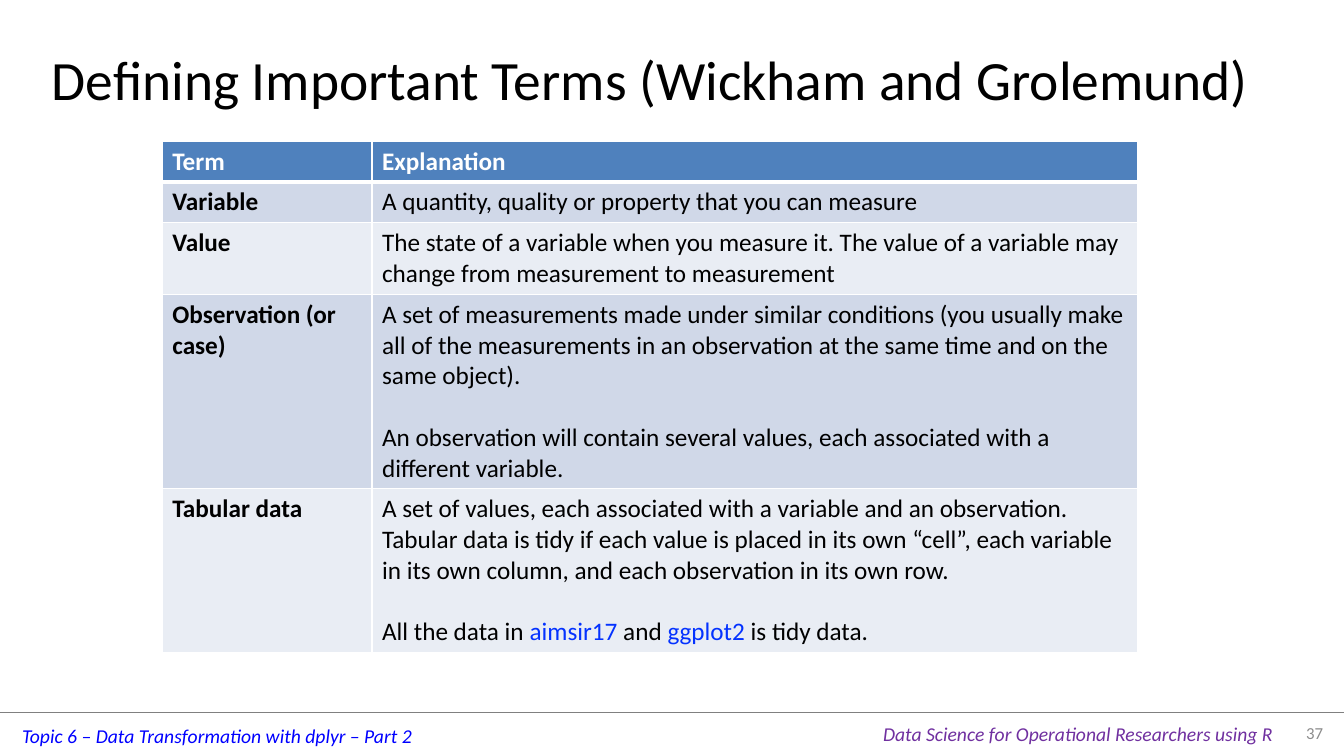
"""Builds a slide that defines tidy data terms in a two-column table."""
from lxml import etree
from pptx import Presentation
from pptx.dml.color import RGBColor
from pptx.enum.shapes import MSO_CONNECTOR
from pptx.enum.text import MSO_ANCHOR, MSO_AUTO_SIZE, PP_ALIGN
from pptx.oxml.ns import qn
from pptx.util import Inches, Pt

STRAIGHT = MSO_CONNECTOR.STRAIGHT
MIDDLE, TOP = MSO_ANCHOR.MIDDLE, MSO_ANCHOR.TOP
LEFT, CENTER, RIGHT = PP_ALIGN.LEFT, PP_ALIGN.CENTER, PP_ALIGN.RIGHT
FIXED = MSO_AUTO_SIZE.NONE

COLORS = {
    "black": "000000", "white": "FFFFFF", "rule": "808080", "number": "8C8C8C",
    "topic": "0000FF", "course": "7030A0", "package": "0432FF",
    "header": "4F81BD", "dark band": "D0D8E8", "light band": "E9EDF4",
}
TITLE = "Defining Important Terms (Wickham and Grolemund)"
PACKAGES = ("aimsir17", "ggplot2")
ROWS = [
    ("Term", [["Explanation"]], 1),
    ("Variable", [["A quantity, quality or property that you can measure"]], 1),
    ("Value", [["The state of a variable when you measure it. The value of a variable "
                "may change from measurement to measurement"]], 2),
    ("Observation (or case)", [
        ["A set of measurements made under similar conditions (you usually make all of "
         "the measurements in an observation at the same time and on the same object)."],
        ["An observation will contain several values, each associated with a "
         "different variable."]], 6),
    ("Tabular data", [
        ["A set of values, each associated with a variable and an observation. Tabular "
         "data is tidy if each value is placed in its own “cell”, each variable in its "
         "own column, and each observation in its own row."],
        ["All the data in ", "aimsir17", " and ", "ggplot2", " is tidy data."]], 5),
]
FOOTERS = [
    ("Topic 6 – Data Transformation with dplyr – Part 2",
     (0.12, 7.13, 4.12, 0.34), LEFT, TOP, {"size": 14, "italic": True, "color": "topic"}),
    ("Data Science for Operational Researchers using R",
     (8.66, 7.11, 4.11, 0.34), LEFT, TOP, {"size": 14, "italic": True, "color": "course"}),
    ("37", (12.67, 7.07, 0.55, 0.39), RIGHT, MIDDLE, {"size": 12, "color": "number"}),
]
SLIDE_WIDTH, SLIDE_HEIGHT = 13.33, 7.5
RULE_TOP = 7.07
TITLE_PLACE = (0.23, 0.15, 12.44, 1.25)
TABLE_LEFT, TABLE_TOP = 1.61, 1.4
COLUMNS = (2.08, 7.59)
LINE_HEIGHT, CELL_PADDING = 0.305, 0.1
BODY_SIZE, PARAGRAPH_GAP = 18, 22


def rgb(name):
    return RGBColor.from_string(COLORS[name])


def add_span(para, text, size, color, **formats):
    span = para.add_run()
    span.text = text
    span.font.color.rgb = rgb(color)
    for name, value in {"name": "Calibri", "size": Pt(size), **formats}.items():
        setattr(span.font, name, value)


def add_borders(cell, widths):
    properties = cell._tc.get_or_add_tcPr()
    for side, width in widths.items():
        line = etree.SubElement(properties, qn(f"a:ln{side}"), w=str(Pt(width)))
        fill = etree.SubElement(line, qn("a:solidFill"))
        etree.SubElement(fill, qn("a:srgbClr"), val=COLORS["white"])


def fill_cell(cell, paragraphs, row, bold):
    add_borders(cell, {"L": 1, "R": 1, "T": 3 if row == 1 else 1, "B": 3 if row == 0 else 1})
    band = "header" if row == 0 else ("light band", "dark band")[row % 2]
    cell.fill.solid()
    cell.fill.fore_color.rgb = rgb(band)
    base = "white" if row == 0 else "black"
    for index, spans in enumerate(paragraphs):
        para = cell.text_frame.add_paragraph() if index else cell.text_frame.paragraphs[0]
        if index:
            para.space_before = Pt(PARAGRAPH_GAP)
        for text in spans:
            color = "package" if text in PACKAGES else base
            add_span(para, text, BODY_SIZE, color, bold=bold)


def add_terms(page):
    heights = [lines * LINE_HEIGHT + CELL_PADDING for _, _, lines in ROWS]
    place = (TABLE_LEFT, TABLE_TOP, sum(COLUMNS), sum(heights))
    table = page.shapes.add_table(len(ROWS), len(COLUMNS), *map(Inches, place)).table
    for column, width in zip(table.columns, COLUMNS):
        column.width = Inches(width)
    for row, (term, explanation, _) in enumerate(ROWS):
        table.rows[row].height = Inches(heights[row])
        fill_cell(table.cell(row, 0), [[term]], row, True)
        fill_cell(table.cell(row, 1), explanation, row, row == 0)


def add_footer(page):
    ends = (0, RULE_TOP, SLIDE_WIDTH, RULE_TOP)
    rule = page.shapes.add_connector(STRAIGHT, *map(Inches, ends))
    rule.line.color.rgb = rgb("rule")
    rule.line.width = Pt(0.25)
    etree.SubElement(rule._element.spPr, qn("a:effectLst"))
    for text, place, align, anchor, formats in FOOTERS:
        frame = page.shapes.add_textbox(*map(Inches, place)).text_frame
        frame.word_wrap = align == RIGHT
        frame.vertical_anchor = anchor
        frame.paragraphs[0].alignment = align
        add_span(frame.paragraphs[0], text, **formats)


def add_title(page):
    title = page.shapes.title
    title.left, title.top, title.width, title.height = map(Inches, TITLE_PLACE)
    frame = title.text_frame
    frame.auto_size = FIXED
    frame.vertical_anchor = MIDDLE
    frame.paragraphs[0].alignment = CENTER
    add_span(frame.paragraphs[0], TITLE, 39.6, "black")


def main():
    deck = Presentation()
    deck.slide_width, deck.slide_height = Inches(SLIDE_WIDTH), Inches(SLIDE_HEIGHT)
    page = deck.slides.add_slide(deck.slide_layouts.get_by_name("Title Only"))
    add_footer(page)
    add_title(page)
    add_terms(page)
    deck.save("out.pptx")


if __name__ == "__main__":
    main()
